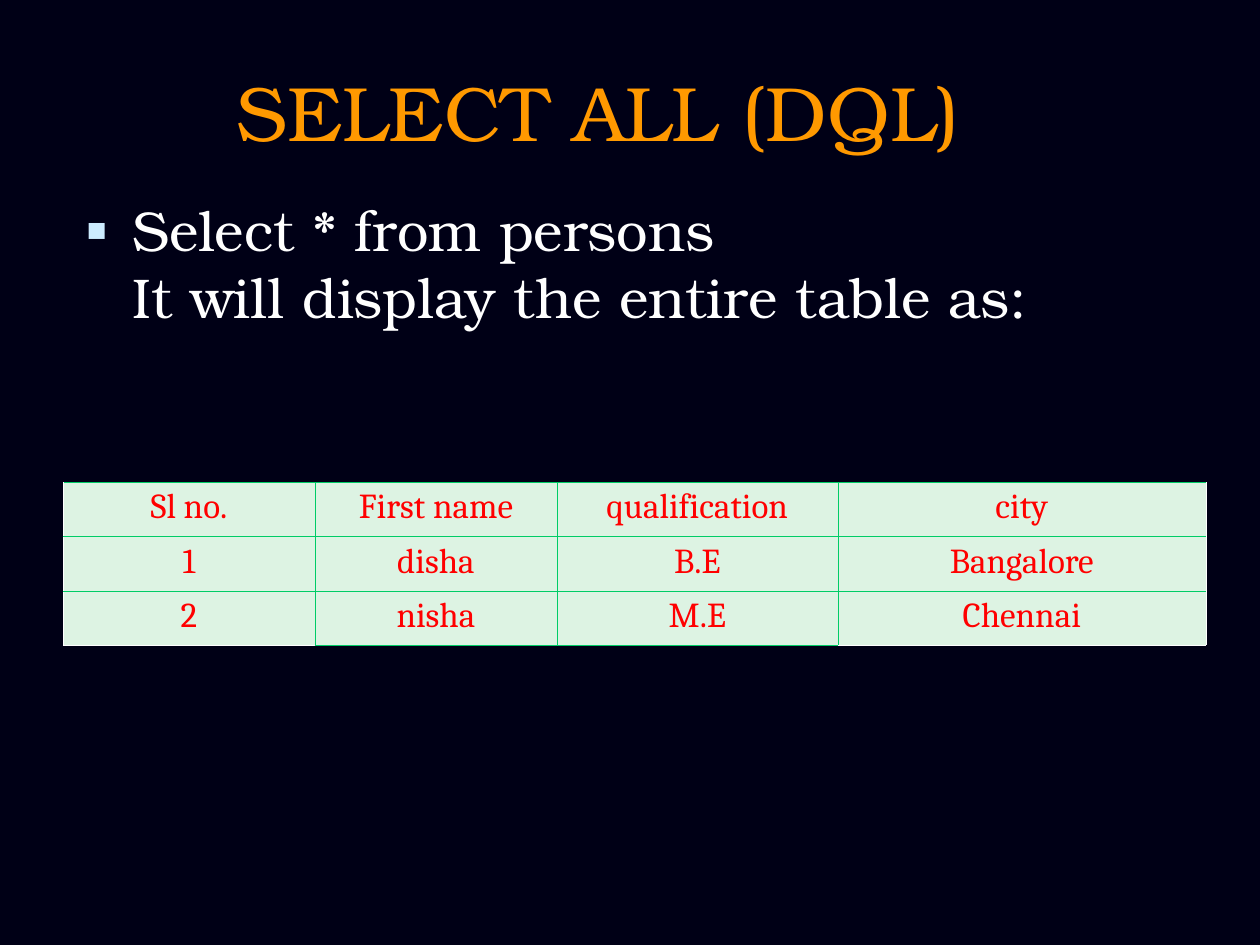
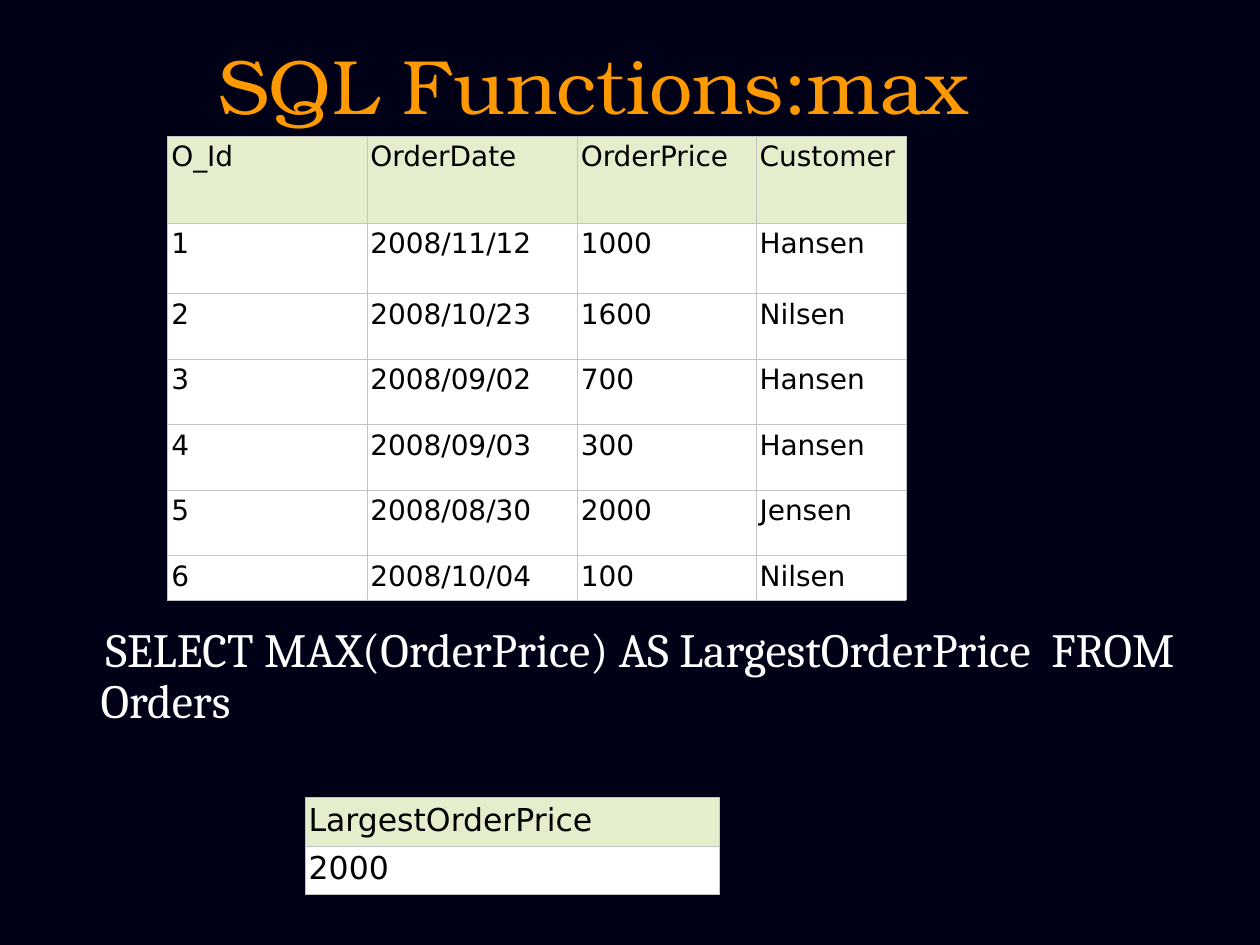
from lxml import etree
from pptx import Presentation
from pptx.dml.color import RGBColor
from pptx.enum.text import MSO_ANCHOR, PP_ALIGN
from pptx.oxml.ns import qn
from pptx.util import Inches, Pt

LEFT, CENTER = PP_ALIGN.LEFT, PP_ALIGN.CENTER
TOP, MIDDLE = MSO_ANCHOR.TOP, MSO_ANCHOR.MIDDLE

COLORS = {
    "back": "000016", "title": "FF9900", "text": "FFFFFF", "bullet": "CCECFF",
    "mint": "DDF3E3", "green": "00CC66", "red": "FF0000",
    "lime": "E5EECC", "white": "FFFFFF", "gray": "C3C3C3", "black": "000000",
}
SERIF, BODY, SANS = "TeX Gyre Bonum", "Cambria", "DejaVu Sans"

# Text formats: font name, size, colour, alignment, line spacing
TITLE = {"name": SERIF, "size": 44, "color": "title", "align": CENTER, "space": 1}
POINT = {"name": SERIF, "size": 32, "color": "text", "align": LEFT, "space": 1}
QUERY = {"name": BODY, "size": 27.2, "color": "text", "align": LEFT, "space": 0.9}
PERSON = {"name": BODY, "size": 20, "color": "red", "align": CENTER, "space": 0.93}
ORDER = {"name": SANS, "size": 16, "color": "black", "align": LEFT, "space": 0.94}
RESULT = {**ORDER, "size": 18}

# Table looks: fills, cell side margin, lines (colour, points), outer side lines
MINT = {"head": "mint", "fill": "mint", "pad": 0.1,
        "line": ("green", 0.45), "edge": ("white", 0.06)}
LIME = {"head": "lime", "fill": "white", "pad": 0.03,
        "line": ("gray", 0.17), "edge": ("gray", 0.17)}


def rgb(key):
    return RGBColor.from_string(COLORS[key])


def add(parent, tag, **attrs):
    return etree.SubElement(parent, qn(tag), attrs)


class Deck:
    def __init__(self):
        self.prs = Presentation()
        self.prs.slide_width, self.prs.slide_height = Inches(10), Inches(7.5)
        self.slide = None

    def page(self):
        self.slide = self.prs.slides.add_slide(self.prs.slide_layouts[6])
        fill = self.slide.background.fill
        fill.solid()
        fill.fore_color.rgb = rgb("back")

    def style(self, para, text, form):
        para.text = text
        looks = {"alignment": form["align"], "line_spacing": form["space"]}
        for key, value in looks.items():
            setattr(para, key, value)
        for run in para.runs:
            for key, value in {"name": form["name"], "size": Pt(form["size"])}.items():
                setattr(run.font, key, value)
            run.font.color.rgb = rgb(form["color"])

    def text(self, box, text, form, anchor=TOP):
        frame = self.slide.shapes.add_textbox(*map(Inches, box)).text_frame
        for key, value in {"word_wrap": True, "vertical_anchor": anchor}.items():
            setattr(frame, key, value)
        para = frame.paragraphs[0]
        self.style(para, text, form)
        return para

    def title(self, box, text):
        self.text(box, text, TITLE, MIDDLE)

    def indent(self, para, left, first):
        props = para._p.get_or_add_pPr()
        props.set("marL", str(Inches(left)))
        props.set("indent", str(Inches(first)))
        return props

    def bullet(self, box, text):
        props = self.indent(self.text(box, text, POINT), 0.37, -0.37)
        add(add(props, "a:buClr"), "a:srgbClr", val=COLORS["bullet"])
        add(props, "a:buSzPct", val="115000")
        add(props, "a:buFont", typeface="Arial")
        add(props, "a:buChar", char="▪")

    def query(self, box, text):
        self.indent(self.text(box, text, QUERY), 0.37, 0.04)

    def borders(self, cell, lines):
        props = cell._tc.get_or_add_tcPr()
        for tag, (color, width) in zip(("a:lnL", "a:lnR", "a:lnT", "a:lnB"), lines):
            line = add(props, tag, w=str(Pt(width)))
            add(add(line, "a:solidFill"), "a:srgbClr", val=COLORS[color])

    def table(self, spot, cols, rows, data, form, look):
        box = (*spot, sum(cols), sum(rows))
        grid = self.slide.shapes.add_table(len(rows), len(cols), *map(Inches, box)).table
        for key in ("first_row", "horz_banding"):
            setattr(grid, key, False)
        for col, width in zip(grid.columns, cols):
            col.width = Inches(width)
        for row, height in zip(grid.rows, rows):
            row.height = Inches(height)
        pads = {"margin_left": look["pad"], "margin_right": look["pad"],
                "margin_top": 0.05, "margin_bottom": 0.05}
        line, edge = look["line"], look["edge"]
        for r, values in enumerate(data):
            for c, value in enumerate(values):
                cell = grid.cell(r, c)
                for key, pad in pads.items():
                    setattr(cell, key, Inches(pad))
                first, last = c == 0, c == len(cols) - 1
                corner = r == len(rows) - 1 and (first or last)
                self.borders(cell, (edge if first else line, edge if last else line,
                                    line, edge if corner else line))
                cell.fill.solid()
                cell.fill.fore_color.rgb = rgb(look["fill" if r else "head"])
                self.style(cell.text_frame.paragraphs[0], value, form)


def main():
    deck = Deck()

    # Select all
    deck.page()
    deck.title((0.25, 0.25, 9, 1.25), "SELECT ALL (DQL)")
    deck.bullet((0.58, 1.5, 9, 2.08),
                "Select * from persons\vIt will display the entire table as:")
    persons = [
        ("Sl no.", "First name", "qualification", "city"),
        ("1", "disha", "B.E", "Bangalore"),
        ("2", "nisha", "M.E", "Chennai"),
    ]
    deck.table((0.5, 3.83), (2, 1.92, 2.23, 2.92), [0.43] * 3, persons, PERSON, MINT)

    # Max function
    deck.page()
    deck.title((0.42, 0.25, 8.58, 0.83), "SQL Functions:max")
    deck.query((0.33, 4.92, 9.33, 1.08),
               "SELECT MAX(OrderPrice) AS LargestOrderPrice  FROM Orders")
    orders = [
        ("O_Id", "OrderDate", "OrderPrice", "Customer"),
        ("1", "2008/11/12", "1000", "Hansen"),
        ("2", "2008/10/23", "1600", "Nilsen"),
        ("3", "2008/09/02", "700", "Hansen"),
        ("4", "2008/09/03", "300", "Hansen"),
        ("5", "2008/08/30", "2000", "Jensen"),
        ("6", "2008/10/04", "100", "Nilsen"),
    ]
    deck.table((1.33, 1.08), (1.58, 1.67, 1.42, 1.19),
               [0.69, 0.56] + [0.52] * 4 + [0.32], orders, ORDER, LIME)
    deck.table((2.42, 6.33), [3.29], [0.37] * 2,
               [("LargestOrderPrice",), ("2000",)], RESULT, LIME)

    deck.prs.save("out.pptx")


if __name__ == "__main__":
    main()
